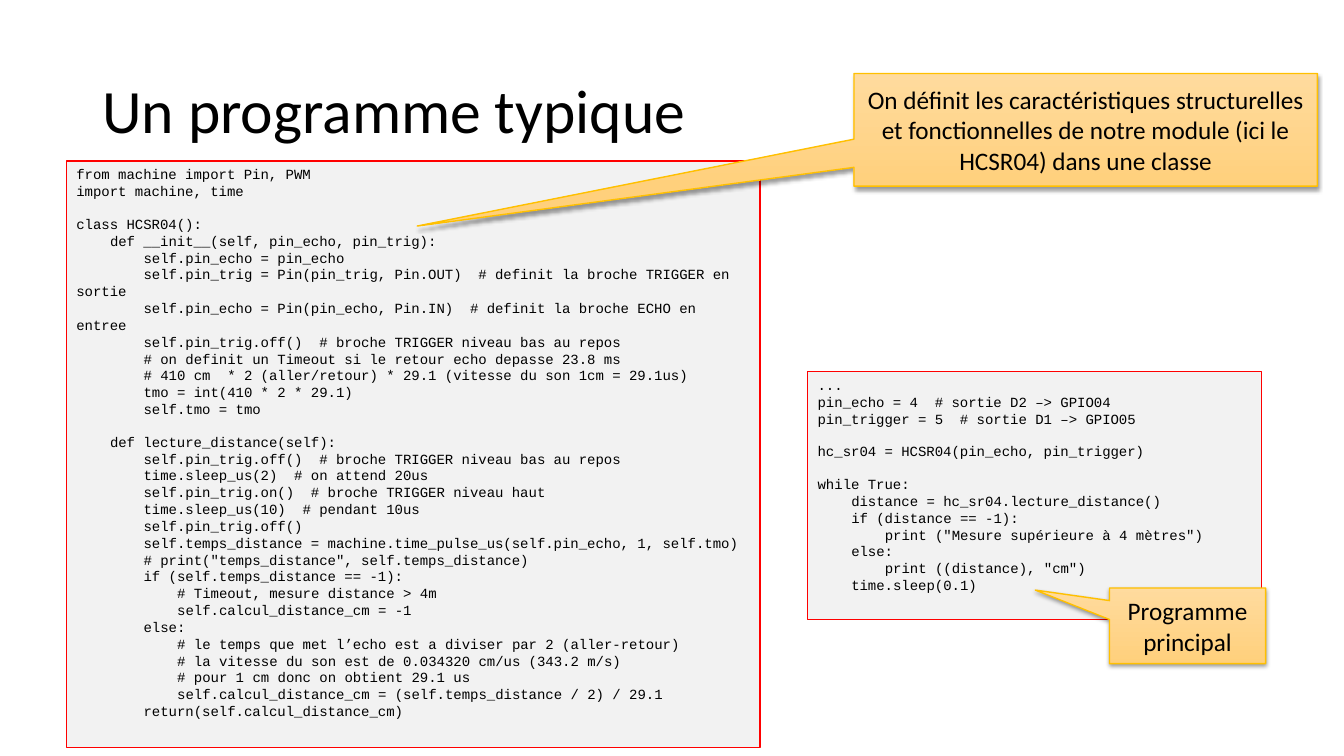
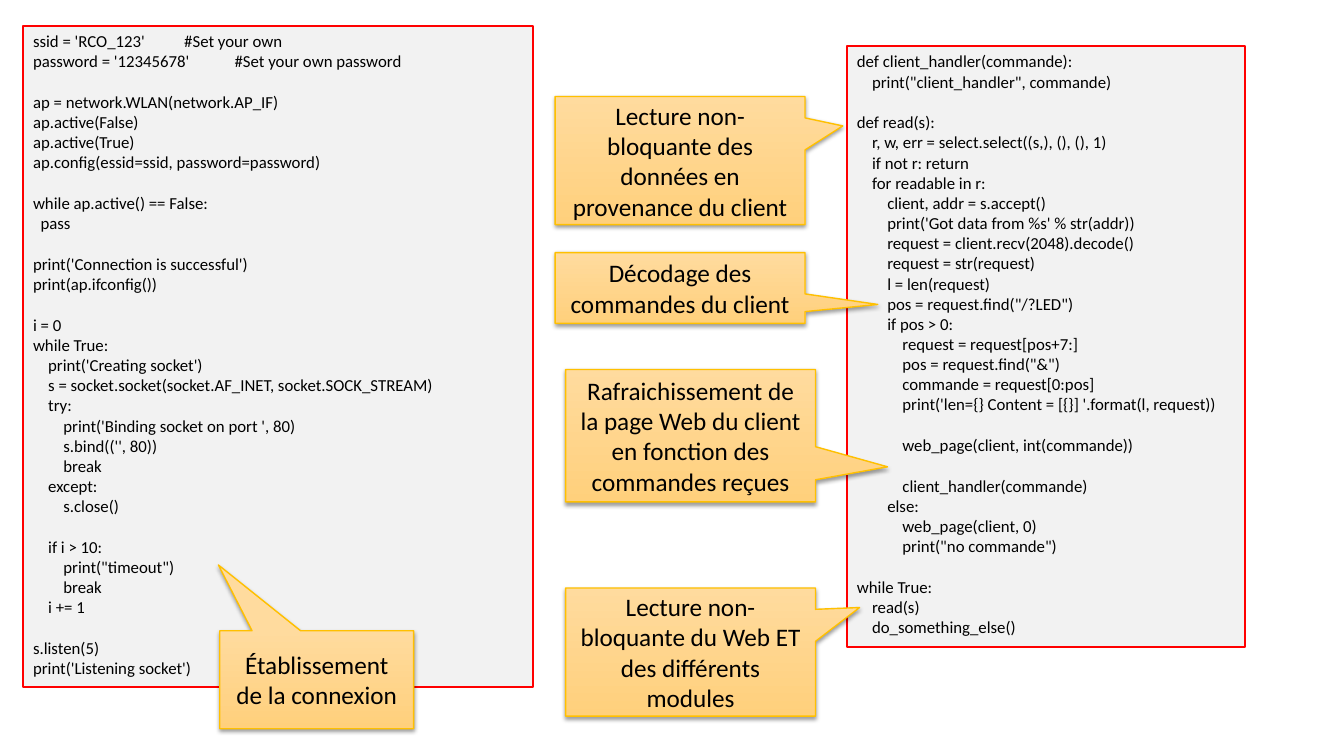
from dataclasses import dataclass

from lxml import etree
from pptx import Presentation
from pptx.dml.color import RGBColor
from pptx.enum.shapes import MSO_SHAPE
from pptx.enum.text import MSO_ANCHOR, PP_ALIGN
from pptx.oxml.ns import qn
from pptx.util import Pt

RECTANGLE = MSO_SHAPE.RECTANGLE
CALLOUT = MSO_SHAPE.RECTANGULAR_CALLOUT
TOP, MIDDLE = MSO_ANCHOR.TOP, MSO_ANCHOR.MIDDLE
LEFT, CENTER = PP_ALIGN.LEFT, PP_ALIGN.CENTER

COLORS = {
    "text": "000000",
    "code_fill": "F2F2F2",
    "code_line": "FF0000",
    "callout_top": "FFDB9E",
    "callout_bottom": "FFD07C",
    "callout_line": "FFC000",
    "shadow": "000000",
}
TEXT_FONT = "Calibri"
TITLE_SIZE, CALLOUT_SIZE = 44, 18
COMMENT_TAB = 128.5


@dataclass
class CodeStyle:
    """Font of a listing; lengths in points."""
    font: str
    size: float
    space_width: float
    line_height: float
    border: float


MONOSPACE = CodeStyle("Courier New", 10, 6, 11.33, 1)
PROPORTIONAL = CodeStyle(TEXT_FONT, 12, 2.71, 14.65, 1.5)

SENSOR_SETUP = """\
from machine import Pin, PWM
import machine, time

class HCSR04():
    def __init__(self, pin_echo, pin_trig):
        self.pin_echo = pin_echo
        self.pin_trig = Pin(pin_trig, Pin.OUT)  # definit la broche TRIGGER en sortie
        self.pin_echo = Pin(pin_echo, Pin.IN)  # definit la broche ECHO en entree
        self.pin_trig.off()  # broche TRIGGER niveau bas au repos
        # on definit un Timeout si le retour echo depasse 23.8 ms
        # 410 cm  * 2 (aller/retour) * 29.1 (vitesse du son 1cm = 29.1us)
        tmo = int(410 * 2 * 29.1)
        self.tmo = tmo

"""
SENSOR_PULSE = """\
    def lecture_distance(self):
        self.pin_trig.off()  # broche TRIGGER niveau bas au repos
        time.sleep_us(2)  # on attend 20us
        self.pin_trig.on()  # broche TRIGGER niveau haut
        time.sleep_us(10)  # pendant 10us
        self.pin_trig.off()
        self.temps_distance = machine.time_pulse_us(self.pin_echo, 1, self.tmo)
        # print("temps_distance", self.temps_distance)
"""
SENSOR_DISTANCE = """\
        if (self.temps_distance == -1):
            # Timeout, mesure distance > 4m
            self.calcul_distance_cm = -1
        else:
            # le temps que met l’echo est a diviser par 2 (aller-retour)
            # la vitesse du son est de 0.034320 cm/us (343.2 m/s)
            # pour 1 cm donc on obtient 29.1 us
            self.calcul_distance_cm = (self.temps_distance / 2) / 29.1
        return(self.calcul_distance_cm)
"""

MAIN_PROGRAM = """\
...
pin_echo = 4  # sortie D2 –> GPIO04
pin_trigger = 5  # sortie D1 –> GPIO05

hc_sr04 = HCSR04(pin_echo, pin_trigger)

while True:
    distance = hc_sr04.lecture_distance()
    if (distance == -1):
        print ("Mesure supérieure à 4 mètres")
    else:
        print ((distance), "cm")
    time.sleep(0.1)
"""

ACCESS_POINT = """\
ssid = 'RCO_123'\t#Set your own
password = '12345678'\t#Set your own password

ap = network.WLAN(network.AP_IF)
ap.active(False)
ap.active(True)
ap.config(essid=ssid, password=password)

while ap.active() == False:
  pass

print('Connection is successful')
print(ap.ifconfig())

"""
SOCKET_BINDING = """\
i = 0
while True:
    print('Creating socket')
    s = socket.socket(socket.AF_INET, socket.SOCK_STREAM)
    try:
        print('Binding socket on port ', 80)
        s.bind(('', 80))
        break
    except:
        s.close()

    if i > 10:
        print("timeout")
        break
    i += 1

s.listen(5)
print('Listening socket')
"""

REQUEST_READING = """\
def client_handler(commande):
    print("client_handler", commande)

def read(s):
    r, w, err = select.select((s,), (), (), 1)
    if not r: return
    for readable in r:
        client, addr = s.accept()
        print('Got data from %s' % str(addr))
        request = client.recv(2048).decode()
        request = str(request)
        l = len(request)
        pos = request.find("/?LED")
"""
REQUEST_HANDLING = """\
        if pos > 0:
            request = request[pos+7:]
            pos = request.find("&")
            commande = request[0:pos]
            print('len={} Content = [{}] '.format(l, request))

            web_page(client, int(commande))

            client_handler(commande)
        else:
            web_page(client, 0)
            print("no commande")

while True:
    read(s)
    do_something_else()
"""


def rgb(name):
    return RGBColor.from_string(COLORS[name])


def set_font(paragraph, name, size):
    paragraph.font.name = name
    paragraph.font.size = Pt(size)
    paragraph.font.color.rgb = rgb("text")


def add_box(slide, preset, box, line_color, line_width, anchor):
    shape = slide.shapes.add_shape(preset, *map(Pt, box))
    shape.line.color.rgb = rgb(line_color)
    shape.line.width = Pt(line_width)
    shape.shadow.inherit = False
    shape.text_frame.word_wrap = True
    shape.text_frame.vertical_anchor = anchor
    return shape


def add_title(slide, box, text):
    frame = slide.shapes.add_textbox(*map(Pt, box)).text_frame
    frame.word_wrap = True
    frame.vertical_anchor = MIDDLE
    paragraph = frame.paragraphs[0]
    paragraph.text = text
    paragraph.line_spacing = 0.9
    set_font(paragraph, TEXT_FONT, TITLE_SIZE)


def set_first_line(paragraph, indent, has_tab):
    """Indent the first line only, and add the tab stop of a side comment."""
    properties = paragraph._p.get_or_add_pPr()
    properties.set("marL", "0")
    properties.set("indent", str(int(Pt(indent))))
    if has_tab:
        tabs = etree.SubElement(properties, qn("a:tabLst"))
        etree.SubElement(tabs, qn("a:tab"), pos=str(int(Pt(COMMENT_TAB))), algn="l")


def add_code(slide, box, parts, style):
    """Draw a listing; leading spaces become indents, empty lines spacing."""
    shape = add_box(slide, RECTANGLE, box, "code_line", style.border, TOP)
    shape.fill.solid()
    shape.fill.fore_color.rgb = rgb("code_fill")
    frame = shape.text_frame
    paragraph, gap = frame.paragraphs[0], 0
    for number, line in enumerate("".join(parts).splitlines()):
        text = line.lstrip()
        if not text:
            gap += style.line_height
            continue
        if number:
            paragraph = frame.add_paragraph()
        paragraph.text = text
        paragraph.alignment = LEFT
        indent = (len(line) - len(text)) * style.space_width
        set_first_line(paragraph, indent, "\t" in text)
        paragraph.space_before = Pt(gap)
        set_font(paragraph, style.font, style.size)
        gap = 0


def add_soft_shadow(shape):
    effects = shape._element.spPr.find(qn("a:effectLst"))
    shadow = etree.SubElement(
        effects, qn("a:outerShdw"), blurRad=str(int(Pt(3.1))),
        dist=str(int(Pt(1.6))), dir="5400000", rotWithShape="0")
    color = etree.SubElement(shadow, qn("a:srgbClr"), val=COLORS["shadow"])
    etree.SubElement(color, qn("a:alpha"), val="38000")


def add_callout(slide, box, tip, text):
    """Draw a callout whose pointer ends at tip, a point of the slide."""
    shape = add_box(slide, CALLOUT, box, "callout_line", 1, MIDDLE)
    for axis in range(2):
        start, size = box[axis], box[axis + 2]
        shape.adjustments[axis] = (tip[axis] - start) / size - 0.5
    shape.fill.gradient()
    shape.fill.gradient_angle = 270
    for stop, name in zip(shape.fill.gradient_stops, ("callout_top", "callout_bottom")):
        stop.color.rgb = rgb(name)
    add_soft_shadow(shape)
    paragraph = shape.text_frame.paragraphs[0]
    paragraph.text = text
    paragraph.alignment = CENTER
    set_font(paragraph, TEXT_FONT, CALLOUT_SIZE)


def add_slide(presentation, listings, style, callouts, title=None):
    slide = presentation.slides.add_slide(presentation.slide_layouts[6])
    if title:
        add_title(slide, (66, 29, 828, 104), title)
    for box, parts in listings:
        add_code(slide, box, parts, style)
    for callout in callouts:
        add_callout(slide, *callout)


def main():
    presentation = Presentation()
    presentation.slide_width, presentation.slide_height = Pt(960), Pt(540)
    add_slide(
        presentation,
        [((47.5, 115, 495.5, 419), (SENSOR_SETUP, SENSOR_PULSE, SENSOR_DISTANCE)),
         ((577, 265.5, 324, 177), (MAIN_PROGRAM,))],
        MONOSPACE,
        [((610, 52.5, 331, 80.5), (298, 161.5),
          "On définit les caractéristiques structurelles et fonctionnelles "
          "de notre module (ici le HCSR04) dans une classe"),
         ((792.5, 420, 111.5, 54), (739.5, 421.5), "Programme principal")],
        title="Un programme typique")

    upper_left, lower_left, width = 396.5, 404, 178.5
    add_slide(
        presentation,
        [((16.5, 18.5, 364.5, 472), (ACCESS_POINT, SOCKET_BINDING)),
         ((605, 33, 284.5, 429), (REQUEST_READING, REQUEST_HANDLING))],
        PROPORTIONAL,
        [((157, 450.5, 138.5, 70), (156, 403.5), "Établissement de la connexion"),
         ((upper_left, 69, width, 91.5), (602, 90),
          "Lecture non-bloquante des données en provenance du client"),
         ((lower_left, 420, width, 91.5), (614, 434),
          "Lecture non-bloquante du Web ET des différents modules"),
         ((upper_left, 180.5, width, 50.5), (627, 217.5),
          "Décodage des commandes du client"),
         ((lower_left, 264, width, 94.5), (634, 333.5),
          "Rafraichissement de la page Web du client en fonction "
          "des commandes reçues")])
    presentation.save("out.pptx")


if __name__ == "__main__":
    main()
